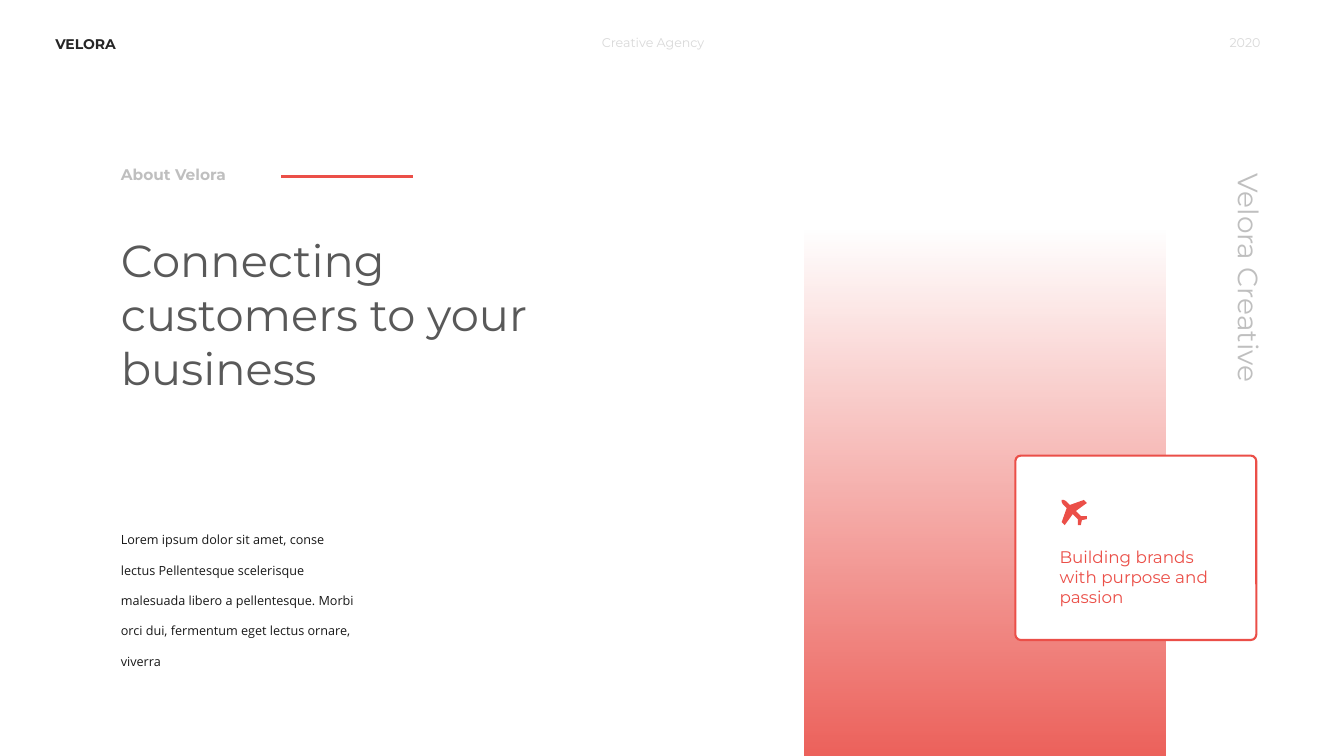
from pptx import Presentation
from pptx.dml.color import RGBColor
from pptx.enum.shapes import MSO_CONNECTOR as CONN, MSO_SHAPE as SHAPE
from pptx.enum.text import MSO_AUTO_SIZE as AUTO, PP_ALIGN as ALIGN
from pptx.oxml.ns import qn
from pptx.util import Inches, Pt
from lxml import etree

COLORS = {
    "red": "EB4F48", "white": "FFFFFF", "black": "262626", "ink": "181818",
    "heading": "595959", "gray": "BFBFBF", "pale": "D9D9D9",
}
# Outline of the plane, in hundredths of an inch
PLANE = [
    (1072, 512), (1067, 507), (1078, 499), (1075, 496), (1061, 501),
    (1057, 497), (1055, 496), (1053, 496), (1053, 498), (1054, 500),
    (1058, 504), (1053, 518), (1056, 521), (1064, 510), (1069, 515),
    (1069, 521), (1072, 521), (1073, 516), (1078, 515), (1078, 512),
]


def rgb(name):
    return RGBColor.from_string(COLORS[name])


class Deck:
    font = "Montserrat"

    def __init__(self):
        self.prs = Presentation()
        self.prs.slide_width = Inches(13.33)
        self.prs.slide_height = Inches(7.5)
        self.slide = self.prs.slides.add_slide(self.prs.slide_layouts[6])
        self.shapes = self.slide.shapes

    def text(self, box, text, size, color, font=None, bold=False,
             align=ALIGN.LEFT, spacing=None, rotation=0):
        s = self.shapes.add_textbox(*map(Inches, box))
        s.rotation = rotation
        tf = s.text_frame
        tf.word_wrap = True
        tf.auto_size = AUTO.SHAPE_TO_FIT_TEXT
        p = tf.paragraphs[0]
        p.text = text
        p.alignment = align
        if spacing:
            p.line_spacing = spacing
        p.font.name = font or self.font
        p.font.size = Pt(size)
        p.font.bold = bold
        p.font.color.rgb = rgb(color)

    def fade(self, box, color, opacities, rotation):
        """Rectangle whose colour runs between two opacities, in percent."""
        s = self.shapes.add_shape(SHAPE.RECTANGLE, *map(Inches, box))
        s.rotation = rotation
        s.shadow.inherit = False
        s.line.fill.background()
        s.fill.gradient()
        s.fill.gradient_angle = 0
        for stop, position in zip(s.fill.gradient_stops, (0, 1)):
            stop.color.rgb = rgb(color)
            stop.position = position
        for clr, opacity in zip(s._element.spPr.iter(qn("a:srgbClr")), opacities):
            etree.SubElement(clr, qn("a:alpha")).set("val", str(opacity * 1000))

    def card(self, box, fill, line, width, radius):
        s = self.shapes.add_shape(SHAPE.ROUNDED_RECTANGLE, *map(Inches, box))
        s.adjustments[0] = radius
        s.shadow.inherit = False
        s.fill.solid()
        s.fill.fore_color.rgb = rgb(fill)
        s.line.color.rgb = rgb(line)
        s.line.width = Pt(width)

    def rule(self, left, right, y, color, width):
        s = self.shapes.add_connector(
            CONN.STRAIGHT, Inches(left), Inches(y), Inches(right), Inches(y))
        s.line.color.rgb = rgb(color)
        s.line.width = Pt(width)
        etree.SubElement(s._element.spPr, qn("a:effectLst"))

    def icon(self, points, color):
        fb = self.shapes.build_freeform(*points[0], scale=Inches(0.01))
        fb.add_line_segments(points[1:], close=True)
        s = fb.convert_to_shape()
        s.shadow.inherit = False
        s.fill.solid()
        s.fill.fore_color.rgb = rgb(color)
        s.line.fill.background()


def main():
    deck = Deck()
    deck.fade((7.15, 3.09, 5.24, 3.58), "red", (90, 0), rotation=270)

    deck.text((0.45, 0.3, 1.07, 0.27), "VELORA", 10, "black", bold=True)
    deck.text((5.87, 0.3, 1.58, 0.25), "Creative Agency", 9, "pale")
    deck.text((11.02, 0.3, 1.58, 0.25), "2020", 9, "pale", align=ALIGN.RIGHT)

    deck.text((1.1, 2.26, 4.48, 1.72), "Connecting customers to your business",
              32, "heading")
    deck.text((1.1, 1.59, 1.3, 0.29), "About Velora", 11, "gray", bold=True)
    deck.rule(2.79, 4.1, 1.75, "red", 2.25)
    deck.text((1.1, 5.08, 2.58, 1.27),
              "Lorem ipsum dolor sit amet, conse lectus Pellentesque scelerisque "
              "malesuada libero a pellentesque. Morbi orci dui, fermentum eget "
              "lectus ornare, viverra", 9, "ink", font="Open Sans", spacing=2.0)
    deck.text((11.21, 2.58, 2.35, 0.44), "Velora Creative", 20, "gray", rotation=90)

    deck.card((10.07, 4.52, 2.39, 1.83), "white", "red", 1.5, radius=0.03)
    deck.text((10.41, 5.37, 1.85, 0.71), "Building brands with purpose and passion",
              12, "red")
    deck.icon(PLANE, "red")
    deck.prs.save("out.pptx")


if __name__ == "__main__":
    main()
